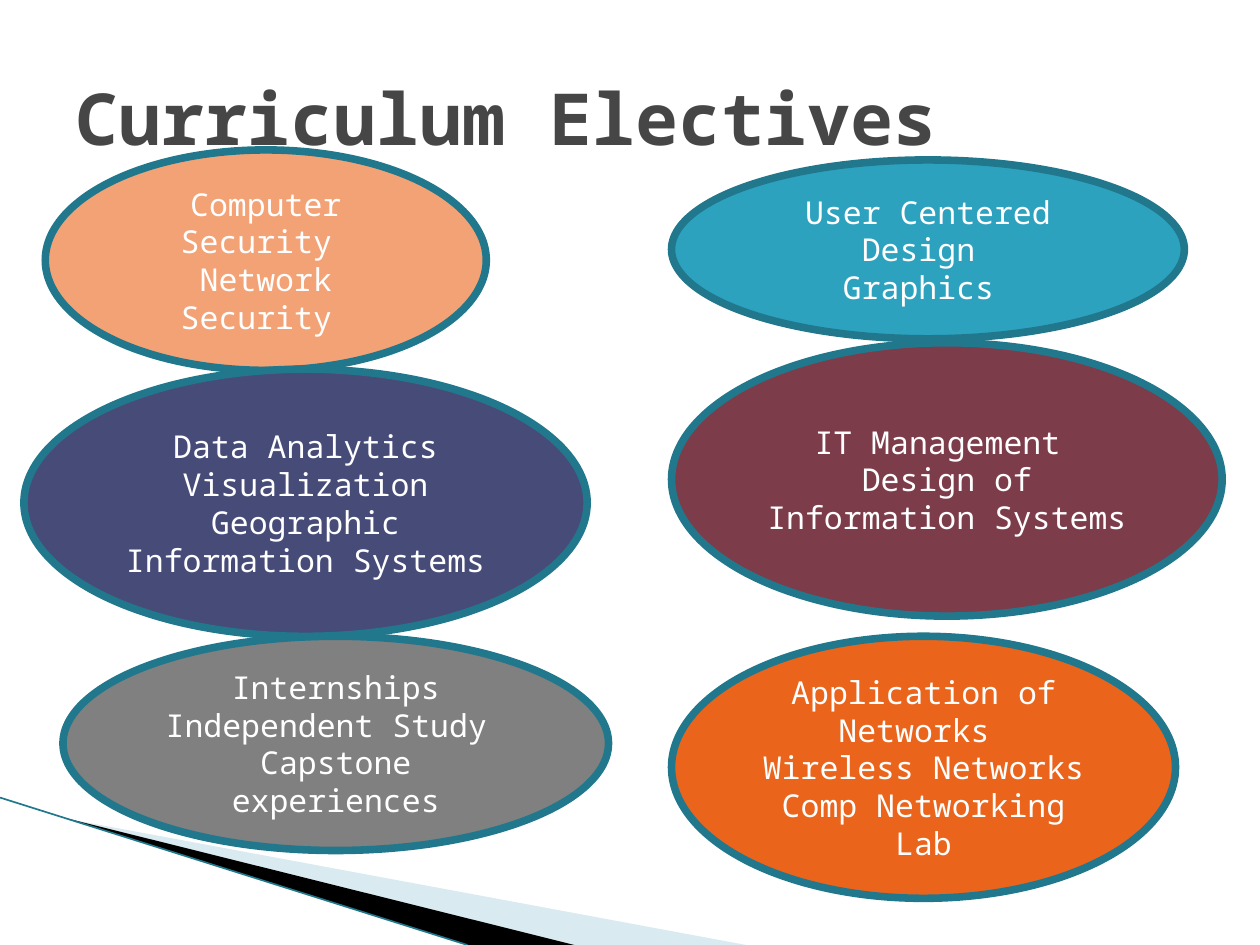
"""Build the Curriculum Electives slide."""
from dataclasses import dataclass
from typing import NamedTuple

from lxml.etree import SubElement
from pptx import Presentation
from pptx.dml.color import RGBColor
from pptx.enum.shapes import MSO_CONNECTOR as Connector, MSO_SHAPE as Preset
from pptx.enum.text import MSO_ANCHOR as Anchor, PP_ALIGN as Align
from pptx.oxml.ns import qn
from pptx.shapes.autoshape import Shape
from pptx.slide import Slide
from pptx.text.text import TextFrame
from pptx.util import Inches, Pt


@dataclass(frozen=True)
class Theme:
    """Colours, font and sizes of the slide."""
    font: str = "Noto Sans Mono"
    title_size: float = 41
    body_size: float = 18
    outline_width: float = 4.33
    edge_width: float = 0.95
    title: str = "464646"
    body: str = "FFFFFF"
    outline: str = "21788D"
    pale_wedge: str = "A0CBDC"
    dark_wedge: str = "000000"
    blue: str = "2DA2BF"
    orange: str = "EB641B"
    peach: str = "F3A276"
    gray: str = "808080"
    wine: str = "7D3C4A"
    indigo: str = "474B78"


class Box(NamedTuple):
    """Place and size in percent of the slide."""
    left: float
    top: float
    width: float
    height: float


class Elective(NamedTuple):
    """One ellipse with its courses."""
    box: Box
    color: str
    courses: tuple[str, ...]


class Wedge(NamedTuple):
    """One filled corner triangle, its points in percent of the slide."""
    points: tuple[tuple[float, float], ...]
    color: str
    opacity: int


THEME = Theme()
WIDTH, HEIGHT = Inches(10), Inches(7.5)
RIGHT_COLUMN = 53.3
BOTTOM_ROW = 67.33

WEDGES = (
    Wedge(((5.5, 86.7), (59.2, 100), (45.5, 100)), THEME.pale_wedge, 40),
    Wedge(((5.3, 86.6), (45.6, 100), (37.1, 100)), THEME.dark_wedge, 100),
)
ELECTIVES = (
    Elective(Box(RIGHT_COLUMN, 16.93, 40.7, 18.93), THEME.blue,
             ("User Centered Design ", "Graphics ")),
    Elective(Box(RIGHT_COLUMN, BOTTOM_ROW, 40, 27.73), THEME.orange,
             ("Application of Networks ", "Wireless Networks ", "Comp Networking Lab")),
    Elective(Box(3.6, 15.87, 35, 23.33), THEME.peach,
             ("Computer Security \vNetwork Security ",)),
    Elective(Box(5, BOTTOM_ROW, 43.3, 22.67), THEME.gray,
             ("Internships Independent Study \vCapstone experiences",)),
    Elective(Box(RIGHT_COLUMN, 36.27, 43.7, 28.93), THEME.wine,
             ("IT Management ", "Design of Information Systems")),
    Elective(Box(1.9, 39.07, 44.7, 28.27), THEME.indigo,
             ("Data Analytics Visualization Geographic Information Systems",)),
)


def across(percent: float) -> int:
    """Turn a share of the slide's width into a length."""
    return round(WIDTH * percent / 100)


def down(percent: float) -> int:
    """Turn a share of the slide's height into a length."""
    return round(HEIGHT * percent / 100)


def place(box: Box) -> tuple[int, int, int, int]:
    """Turn a box into left, top, width and height."""
    return across(box.left), down(box.top), across(box.width), down(box.height)


def write(frame: TextFrame, text: str, *, size: float, color: str,
          align: Align, bold: bool = False) -> None:
    """Write text into a frame in one format."""
    frame.text = text
    frame.word_wrap = True
    frame.vertical_anchor = Anchor.MIDDLE
    for paragraph in frame.paragraphs:
        paragraph.alignment = align
        for run in paragraph.runs:
            run.font.name = THEME.font
            run.font.size = Pt(size)
            run.font.bold = bold
            run.font.color.rgb = RGBColor.from_string(color)


def fill(shape: Shape, color: str) -> None:
    """Fill a shape with a plain colour and drop its shadow."""
    shape.shadow.inherit = False
    shape.fill.solid()
    shape.fill.fore_color.rgb = RGBColor.from_string(color)


def draw_wedge(slide: Slide, wedge: Wedge) -> None:
    """Draw one corner triangle."""
    start, *others = [(across(x), down(y)) for x, y in wedge.points]
    builder = slide.shapes.build_freeform(*start)
    builder.add_line_segments(others, close=True)
    shape = builder.convert_to_shape()
    fill(shape, wedge.color)
    shape.line.fill.background()
    if wedge.opacity < 100:
        color = shape.fill._xPr.find(qn("a:solidFill"))[0]
        SubElement(color, qn("a:alpha"), val=str(wedge.opacity * 1000))


def draw_edge(slide: Slide) -> None:
    """Draw the thin line along the corner triangles."""
    edge = slide.shapes.add_connector(
        Connector.STRAIGHT, 0, down(84.4), across(37.1), HEIGHT)
    edge.line.color.rgb = RGBColor.from_string(THEME.outline)
    edge.line.width = Pt(THEME.edge_width)
    SubElement(edge._element.spPr, qn("a:effectLst"))


def draw_elective(slide: Slide, elective: Elective) -> None:
    """Draw one ellipse with its courses."""
    shape = slide.shapes.add_shape(Preset.OVAL, *place(elective.box))
    fill(shape, elective.color)
    shape.line.color.rgb = RGBColor.from_string(THEME.outline)
    shape.line.width = Pt(THEME.outline_width)
    write(shape.text_frame, "\n".join(elective.courses),
          size=THEME.body_size, color=THEME.body, align=Align.CENTER)


def main() -> None:
    """Build and save the presentation."""
    presentation = Presentation()
    presentation.slide_width, presentation.slide_height = WIDTH, HEIGHT
    slide = presentation.slides.add_slide(presentation.slide_layouts[5])
    title = slide.shapes.title
    title.left, title.top, title.width, title.height = place(Box(5, 4, 90, 16.67))
    write(title.text_frame, "Curriculum Electives", size=THEME.title_size,
          color=THEME.title, align=Align.LEFT, bold=True)
    for wedge in WEDGES:
        draw_wedge(slide, wedge)
    draw_edge(slide)
    for elective in ELECTIVES:
        draw_elective(slide, elective)
    presentation.save("out.pptx")


if __name__ == "__main__":
    main()
